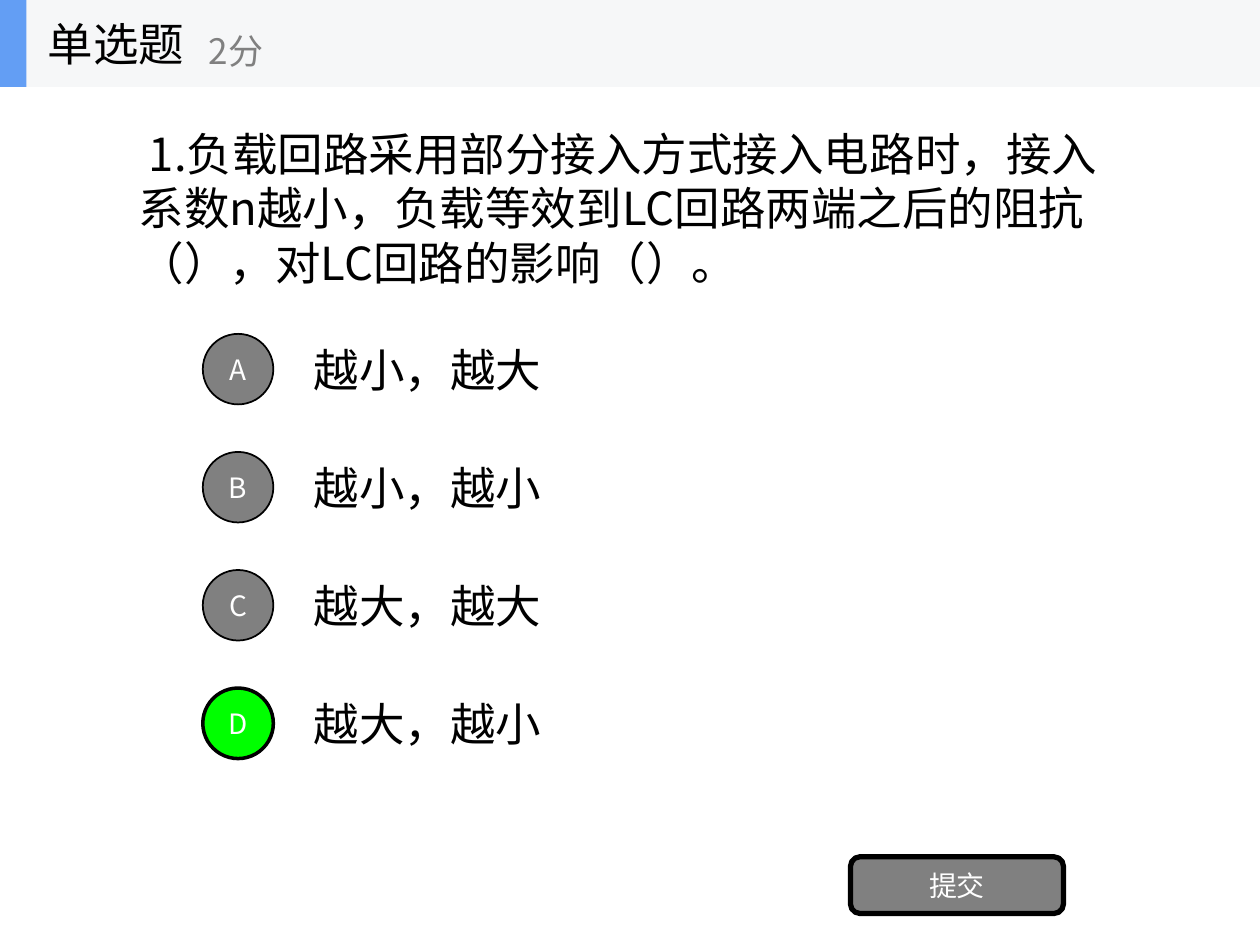
from dataclasses import dataclass

from lxml.etree import SubElement
from pptx import Presentation
from pptx.dml.color import RGBColor as RGB
from pptx.enum.shapes import MSO_SHAPE as SHAPE
from pptx.enum.text import MSO_ANCHOR as ANCHOR, MSO_AUTO_SIZE as AUTO, PP_ALIGN as ALIGN
from pptx.oxml.ns import qn
from pptx.util import Inches, Pt


@dataclass(frozen=True)
class Theme:
    """Colours, font and type sizes of the quiz slide."""
    font: str = "Noto Sans CJK SC"
    ink: str = "000000"
    paper: str = "FFFFFF"
    grey: str = "808080"
    band: str = "F6F7F8"
    accent: str = "639EF4"
    correct: str = "00FF00"
    large: int = 26
    medium: int = 20
    small: int = 16
    leading: int = 31


THEME = Theme()
WIDTH, HEIGHT = 10, 7.5
HEADER = 0.69
FIRST_ROW, ROW_STEP = 2.93, 0.937
BADGE, BADGE_LEFT = 0.56, 1.61
OPTION_LEFT, OPTION_WIDTH, OPTION_HEIGHT = 2.39, 7, 0.7
QUESTION = (" 1.负载回路采用部分接入方式接入电路时，接入系数n越小，"
            "负载等效到LC回路两端之后的阻抗（），对LC回路的影响（）。")
OPTIONS = {"A": "越小，越大", "B": "越小，越小", "C": "越大，越大", "D": "越大，越小"}
ANSWER = "D"


def place(sp, left, top, width, height):
    """Move and size a shape, in inches."""
    sp.left, sp.top, sp.width, sp.height = map(Inches, (left, top, width, height))


def write(sp, text, size, color, align=ALIGN.LEFT):
    """Write one run, centred vertically, in the theme font."""
    tf = sp.text_frame
    tf.word_wrap, tf.auto_size, tf.vertical_anchor = True, AUTO.NONE, ANCHOR.MIDDLE
    p = tf.paragraphs[0]
    p.alignment, p.space_before = align, Pt(0)
    r = p.add_run()
    r.text = text
    r.font.size, r.font.name = Pt(size), THEME.font
    r.font.color.rgb = RGB.from_string(color)
    SubElement(r.font._element, qn("a:ea")).set("typeface", THEME.font)
    return p


def add_label(s, box, text, size, color):
    """Add a text box."""
    write(s.shapes.add_textbox(*map(Inches, box)), text, size, color)


def add_block(s, kind, box, fill, line=0):
    """Add a filled shape with an optional outline width."""
    sp = s.shapes.add_shape(kind, *map(Inches, box))
    sp.shadow.inherit = False
    sp.fill.solid()
    sp.fill.fore_color.rgb = RGB.from_string(fill)
    if line:
        sp.line.width = Pt(line)
        sp.line.color.rgb = RGB.from_string(THEME.ink)
    else:
        sp.line.fill.background()
    return sp


def add_button(s, kind, box, text, fill, line):
    """Add a shape with a small centred caption."""
    sp = add_block(s, kind, box, fill, line)
    tf = sp.text_frame
    tf.margin_left = tf.margin_right = tf.margin_top = tf.margin_bottom = 0
    write(sp, text, THEME.small, THEME.paper, ALIGN.CENTER)
    return sp


def add_header(s):
    """Build the header band with its title and score."""
    title = s.shapes.title
    for width, color in ((WIDTH, THEME.band), (0.21, THEME.accent)):
        sp = add_block(s, SHAPE.RECTANGLE, (0, 0, width, HEADER), color)
        title.element.addprevious(sp.element)
    place(title, 0.28, 0, 2.08, HEADER)
    write(title, "单选题", THEME.large, THEME.ink)
    add_label(s, (1.56, 0.12, 2.5, 0.56), "2分", THEME.medium, THEME.grey)


def add_question(s):
    """Fill the body placeholder with the unbulleted question."""
    body = s.placeholders[1]
    place(body, 0.1 * WIDTH, 0.48, 0.8 * WIDTH, 2.34)
    p = write(body, QUESTION, THEME.large, THEME.ink)
    p.line_spacing = Pt(THEME.leading)
    pPr = p._p.get_or_add_pPr()
    pPr.set("marL", "0")
    pPr.set("indent", "0")
    SubElement(pPr, qn("a:buNone"))


def add_option(s, row, letter, text):
    """Add one answer row: lettered badge and wording."""
    middle = FIRST_ROW + row * ROW_STEP
    fill, line = (THEME.correct, 2) if letter == ANSWER else (THEME.grey, 1)
    add_label(s, (OPTION_LEFT, middle - OPTION_HEIGHT / 2, OPTION_WIDTH, OPTION_HEIGHT),
              text, THEME.large, THEME.ink)
    add_button(s, SHAPE.OVAL, (BADGE_LEFT, middle - BADGE / 2, BADGE, BADGE),
               letter, fill, line)


def main():
    """Build and save the quiz slide."""
    prs = Presentation()
    prs.slide_width, prs.slide_height = Inches(WIDTH), Inches(HEIGHT)
    s = prs.slides.add_slide(prs.slide_layouts[1])
    add_header(s)
    add_question(s)
    for row, (letter, text) in enumerate(OPTIONS.items()):
        add_option(s, row, letter, text)
    add_button(s, SHAPE.ROUNDED_RECTANGLE, (6.75, 6.8, 1.69, 0.45), "提交", THEME.grey, 3)
    prs.save("out.pptx")


if __name__ == "__main__":
    main()
